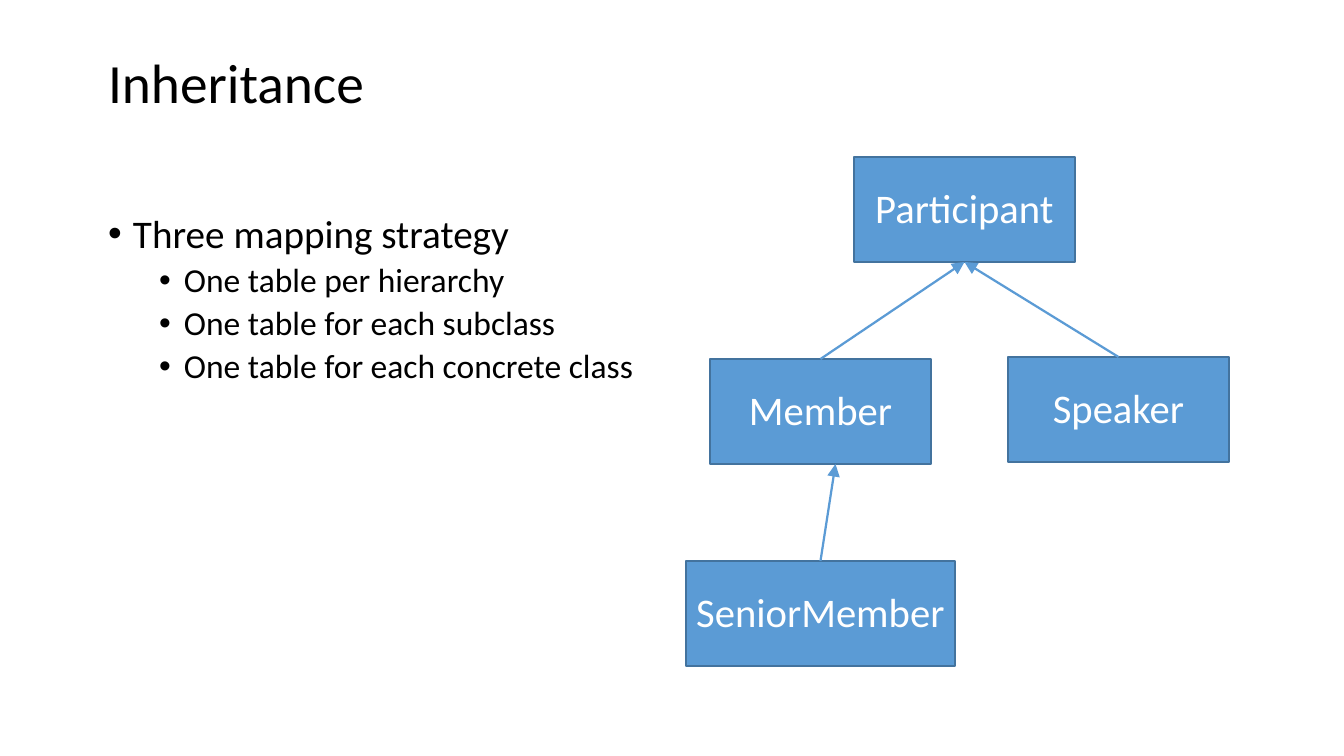
from dataclasses import dataclass

from lxml import etree
from pptx import Presentation
from pptx import util as u
from pptx.dml import color
from pptx.enum import shapes, text
from pptx.oxml import ns

SCALE = 10000


@dataclass(frozen=True)
class Theme:
    font: str = "Calibri"
    ink: str = "000000"
    pale: str = "FFFFFF"
    blue: str = "5B9BD5"
    edge: str = "43739E"
    title: float = 43.6
    point: float = 30.8
    detail: float = 26.4
    node: float = 32
    rim: float = 1
    arrow: float = 1.75


@dataclass(frozen=True)
class Node:
    name: str
    left: int
    top: int
    width: int = 221
    height: int = 105


@dataclass(frozen=True)
class Link:
    child: str
    parent: str
    shift: int = 0


@dataclass(frozen=True)
class Point:
    words: str
    level: int
    size: float
    indent: int
    before: float


THEME = Theme()
HANG = 25
NODES = [
    Node("Participant", 854, 157),
    Node("Member", 710, 359),
    Node("Speaker", 1008, 357),
    Node("SeniorMember", 686, 561, 269),
]
LINKS = [
    Link("Member", "Participant"),
    Link("Speaker", "Participant"),
    Link("SeniorMember", "Member", 15),
]
POINTS = [Point("Three mapping strategy", 0, THEME.point, HANG, 11)] + [
    Point(words, 1, THEME.detail, 76, 5.5)
    for words in (
        "One table per hierarchy",
        "One table for each subclass",
        "One table for each concrete class",
    )
]


def px(count: int) -> u.Emu:
    return u.Emu(count * SCALE)


def tint(code: str) -> color.RGBColor:
    return color.RGBColor.from_string(code)


def add_run(para, words: str, size: float, ink: str) -> None:
    run = para.add_run()
    run.text = words
    run.font.name = THEME.font
    run.font.size = u.Pt(size)
    run.font.color.rgb = tint(ink)


def add_box(slide, left: int, top: int, width: int, height: int):
    frame = slide.shapes.add_textbox(px(left), px(top), px(width), px(height)).text_frame
    frame.word_wrap = True
    frame.vertical_anchor = text.MSO_ANCHOR.TOP
    return frame


def add_title(slide, words: str) -> None:
    frame = add_box(slide, 99, 56, 1148, 126)
    frame.margin_top = px(0)
    para = frame.paragraphs[0]
    para.line_spacing = 0.9
    add_run(para, words, THEME.title, THEME.ink)


def add_points(slide, points: list[Point]) -> None:
    frame = add_box(slide, 99, 210, 563, 476)
    for index, point in enumerate(points):
        para = frame.add_paragraph() if index else frame.paragraphs[0]
        para.level = point.level
        para.line_spacing = 0.9
        para.space_before = u.Pt(point.before)
        props = para._p.get_or_add_pPr()
        props.set("marL", str(px(point.indent)))
        props.set("indent", str(px(-HANG)))
        etree.SubElement(props, ns.qn("a:buFont")).set("typeface", "Arial")
        etree.SubElement(props, ns.qn("a:buChar")).set("char", "•")
        add_run(para, point.words, point.size, THEME.ink)


def add_node(slide, node: Node):
    shape = slide.shapes.add_shape(
        shapes.MSO_SHAPE.RECTANGLE,
        px(node.left), px(node.top), px(node.width), px(node.height),
    )
    shape.shadow.inherit = False
    shape.fill.solid()
    shape.fill.fore_color.rgb = tint(THEME.blue)
    shape.line.color.rgb = tint(THEME.edge)
    shape.line.width = u.Pt(THEME.rim)
    frame = shape.text_frame
    frame.word_wrap = True
    frame.vertical_anchor = text.MSO_ANCHOR.MIDDLE
    para = frame.paragraphs[0]
    para.alignment = text.PP_ALIGN.CENTER
    para.line_spacing = 0.95
    add_run(para, node.name, THEME.node, THEME.pale)
    return shape


def add_link(slide, child, parent, shift: int) -> None:
    line = slide.shapes.add_connector(
        shapes.MSO_CONNECTOR.STRAIGHT,
        child.left + child.width // 2,
        child.top,
        parent.left + parent.width // 2 + px(shift),
        parent.top + parent.height,
    )
    line.begin_connect(child, 0)
    if not shift:
        line.end_connect(parent, 2)
    line.line.color.rgb = tint(THEME.blue)
    line.line.width = u.Pt(THEME.arrow)
    stroke = line.line._get_or_add_ln()
    head = etree.SubElement(stroke, ns.qn("a:tailEnd"))
    for key, value in (("type", "triangle"), ("w", "lg"), ("len", "lg")):
        head.set(key, value)
    etree.SubElement(line._element.spPr, ns.qn("a:effectLst"))


def main() -> None:
    deck = Presentation()
    deck.slide_width, deck.slide_height = px(1344), px(756)
    slide = deck.slides.add_slide(deck.slide_layouts[6])
    add_title(slide, "Inheritance")
    add_points(slide, POINTS)
    drawn = {node.name: add_node(slide, node) for node in NODES}
    for link in LINKS:
        add_link(slide, drawn[link.child], drawn[link.parent], link.shift)
    deck.save("out.pptx")


if __name__ == "__main__":
    main()
